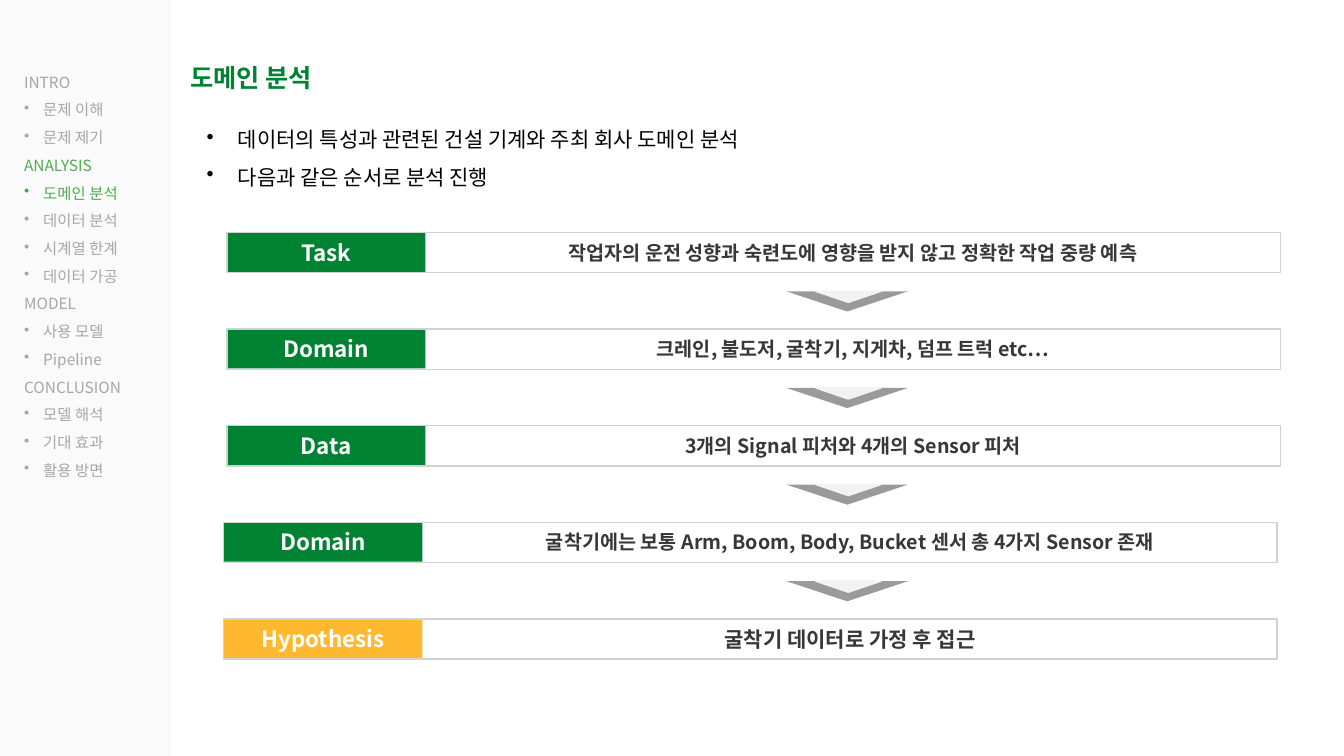
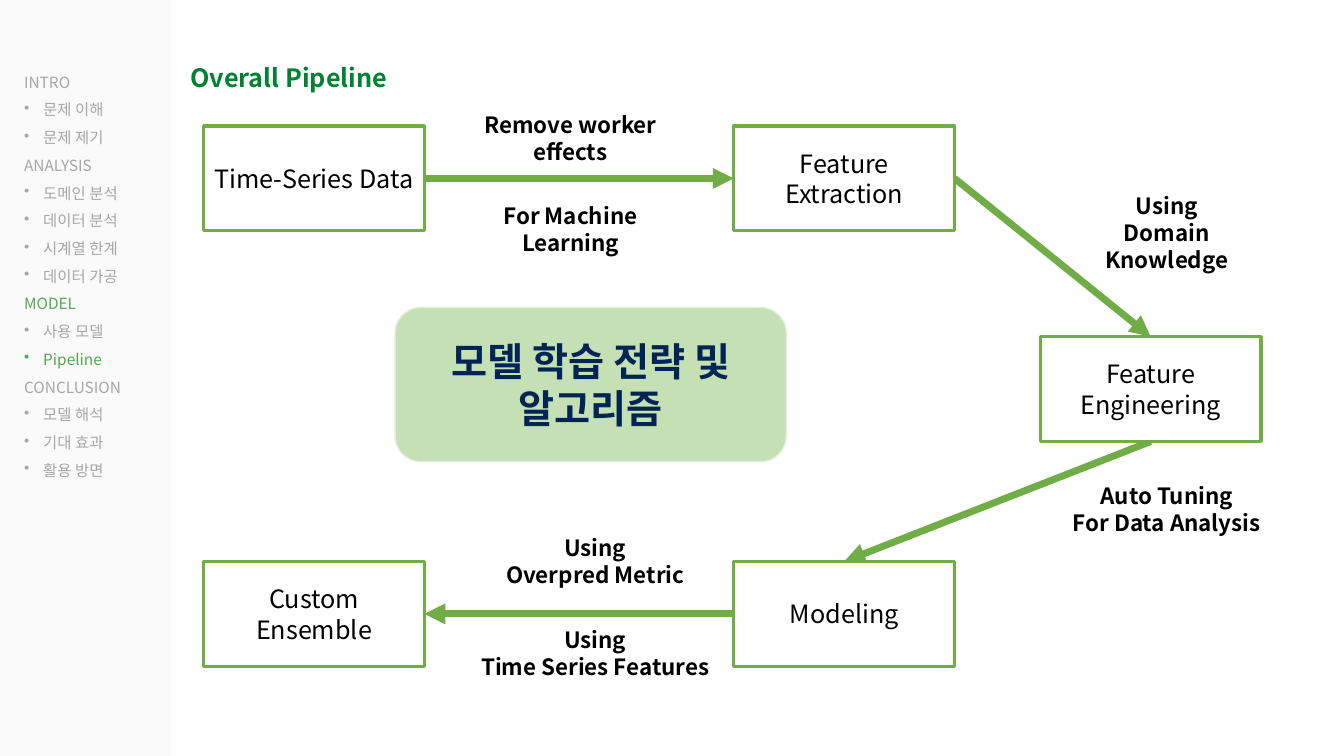
"""Build a domain analysis slide and a model pipeline slide with a shared side menu."""
from dataclasses import dataclass
from typing import NamedTuple

from lxml import etree
from pptx import Presentation
from pptx.dml.color import RGBColor
from pptx.enum.shapes import MSO_CONNECTOR, MSO_SHAPE
from pptx.enum.text import MSO_ANCHOR, MSO_AUTO_SIZE, PP_ALIGN
from pptx.oxml.ns import qn
from pptx.util import Inches, Pt

RECT, ROUND, PEAK = MSO_SHAPE.RECTANGLE, MSO_SHAPE.ROUNDED_RECTANGLE, MSO_SHAPE.ISOSCELES_TRIANGLE
STRAIGHT = MSO_CONNECTOR.STRAIGHT
TOP, MIDDLE = MSO_ANCHOR.TOP, MSO_ANCHOR.MIDDLE
LEFT, CENTER = PP_ALIGN.LEFT, PP_ALIGN.CENTER
GROW = MSO_AUTO_SIZE.SHAPE_TO_FIT_TEXT

WIDE, HIGH = Inches(13.33), Inches(7.5)
FONT = "Noto Sans CJK KR"
COLORS = {
    "white": "FFFFFF", "black": "000000", "side": "FAFAFA", "green": "008233",
    "gold": "FEB930", "dark": "373737", "frame": "D1D1D1", "arrow": "9A9A9A",
    "pale": "F2F2F2", "menu": "A6A6A6", "lit": "51AA4F", "flow": "70AD47",
    "mint": "C5E0B4", "rim": "E2F0D9", "navy": "002554",
}
MENU = {
    "INTRO": ["문제 이해", "문제 제기"],
    "ANALYSIS": ["도메인 분석", "데이터 분석", "시계열 한계", "데이터 가공"],
    "MODEL": ["사용 모델", "Pipeline"],
    "CONCLUSION": ["모델 해석", "기대 효과", "활용 방면"],
}


class Box(NamedTuple):
    """Left, top, width and height as percent of the slide."""
    left: float
    top: float
    width: float
    height: float

    def place(self) -> tuple[int, ...]:
        """Give the box in slide units."""
        sides = (WIDE, HIGH, WIDE, HIGH)
        return tuple(round(side * part / 100) for side, part in zip(sides, self))


@dataclass
class Step:
    """One labelled row of the analysis."""
    label: str
    text: str
    color: str = "green"
    size: int = 14
    left: float = 16.88


@dataclass
class Node:
    """One pipeline stage, placed by grid column and row."""
    text: str
    col: int
    row: int


class Link(NamedTuple):
    """An arrow from a side of one node to a side of the next."""
    start: int
    out: int
    end: int
    into: int


class Note(NamedTuple):
    """A caption beside an arrow."""
    box: Box
    lines: list[str]


STEPS = [
    Step("Task", "작업자의 운전 성향과 숙련도에 영향을 받지 않고 정확한 작업 중량 예측"),
    Step("Domain", "크레인, 불도저, 굴착기, 지게차, 덤프 트럭 etc…"),
    Step("Data", "3개의 Signal 피처와 4개의 Sensor 피처"),
    Step("Domain", "굴착기에는 보통 Arm, Boom, Body, Bucket 센서 총 4가지 Sensor 존재", left=16.65),
    Step("Hypothesis", "굴착기 데이터로 가정 후 접근", "gold", 15, 16.65),
]
FIRST, PITCH = 30.75, 12.78
COLS, ROWS = (15.15, 54.6, 77.4), (16.67, 44.53, 74.27)
NODES = [
    Node("Time-Series Data", 0, 0), Node("Feature Extraction", 1, 0),
    Node("Feature Engineering", 2, 1), Node("Modeling", 1, 2),
    Node("Custom Ensemble", 0, 2),
]
LINKS = [Link(0, 3, 1, 1), Link(1, 3, 2, 0), Link(2, 2, 3, 0), Link(3, 1, 4, 3)]
NOTES = [
    Note(Box(33.75, 14, 17.4, 4.93), ["Remove worker effects"]),
    Note(Box(33.75, 26.13, 17.4, 4.93), ["For Machine Learning"]),
    Note(Box(78.6, 24.8, 16.43, 8.53), ["Using", "Domain Knowledge"]),
    Note(Box(78.6, 63.07, 16.43, 8.53), ["Auto Tuning", "For Data Analysis"]),
    Note(Box(36.08, 70, 16.43, 8.53), ["Using", "Overpred Metric"]),
    Note(Box(35.03, 82.13, 18.53, 8.53), ["Using", "Time Series Features"]),
]


def paint(name: str) -> RGBColor:
    """Look up a colour by name."""
    return RGBColor.from_string(COLORS[name])


def write(shape, lines: list[str], *, size: int, color: str = "black", bold: bool = False,
          align=CENTER, anchor=MIDDLE, space: float = 1, dent: float = 0,
          heads: tuple = (), lit: tuple = ()) -> None:
    """Fill a shape with paragraphs, with bullets on all but heads when dented."""
    frame = shape.text_frame
    frame.word_wrap, frame.vertical_anchor = True, anchor
    for spot, line in enumerate(lines):
        para = frame.add_paragraph() if spot else frame.paragraphs[0]
        para.alignment, para.line_spacing = align, space
        if dent and line not in heads:
            props = para._p.get_or_add_pPr()
            props.set("marL", str(Inches(dent)))
            props.set("indent", str(-Inches(dent)))
            etree.SubElement(props, qn("a:buChar")).set("char", "•")
        run = para.add_run()
        run.text = line
        font = run.font
        font.size, font.bold, font.name = Pt(size), bold, FONT
        font.color.rgb = paint("lit" if line in lit else color)
        etree.SubElement(run._r.get_or_add_rPr(), qn("a:ea")).set("typeface", FONT)


def label(slide, box: Box, lines: list[str], **style) -> None:
    """Add a text box that grows with its text."""
    shape = slide.shapes.add_textbox(*box.place())
    write(shape, lines, anchor=TOP, **style)
    shape.text_frame.auto_size = GROW


def draw(slide, kind, box: Box, fill: str = "", line: str = "", width: float = 1):
    """Add a preset shape with optional fill and outline."""
    shape = slide.shapes.add_shape(kind, *box.place())
    shape.shadow.inherit = False
    if fill:
        shape.fill.solid()
        shape.fill.fore_color.rgb = paint(fill)
    else:
        shape.fill.background()
    if line:
        shape.line.color.rgb, shape.line.width = paint(line), Pt(width)
    else:
        shape.line.fill.background()
    return shape


def join(slide, start, out: int, end, into: int) -> None:
    """Draw an arrow behind the two shapes that it joins."""
    wire = slide.shapes.add_connector(STRAIGHT, 0, 0, 0, 0)
    wire.begin_connect(start, out)
    wire.end_connect(end, into)
    wire.line.color.rgb, wire.line.width = paint("flow"), Pt(5)
    props = wire.element.spPr
    etree.SubElement(props.find(qn("a:ln")), qn("a:tailEnd")).set("type", "triangle")
    etree.SubElement(props, qn("a:effectLst"))
    wire.element.getparent().insert(2, wire.element)


def begin(deck, title: str, lit: tuple):
    """Add a blank slide with its side menu and title."""
    slide = deck.slides.add_slide(deck.slide_layouts[6])
    draw(slide, RECT, Box(0, 0, 12.68, 100), "side", "side")
    label(slide, Box(13.43, 5.6, 50, 6.67), [title], size=18, color="green",
          bold=True, align=LEFT, space=1.5)
    lines = [line for head, items in MENU.items() for line in (head, *items)]
    label(slide, Box(1.05, 7.73, 12.98, 60.13), lines, size=11, color="menu",
          align=LEFT, space=1.5, dent=0.19, heads=tuple(MENU), lit=lit)
    return slide


def domain(deck) -> None:
    """Build the domain analysis slide."""
    slide = begin(deck, "도메인 분석", ("ANALYSIS", "도메인 분석"))
    goals = ["데이터의 특성과 관련된 건설 기계와 주최 회사 도메인 분석", "다음과 같은 순서로 분석 진행"]
    label(slide, Box(14.63, 14.4, 78.3, 10.8), goals, size=15, align=LEFT, space=1.5, dent=0.31)
    for spot, step in enumerate(STEPS):
        top = FIRST + spot * PITCH
        if spot:
            tip = top - 5
            draw(slide, PEAK, Box(58.5, tip, 9.07, 2.67), "arrow").rotation = 180
            draw(slide, PEAK, Box(60.68, tip, 4.88, 1.47), "pale", "pale").rotation = 180
        label(slide, Box(step.left + 14.85, top + 0.4, 63.5, 4.53), [step.text],
              size=step.size, color="dark", bold=True)
        tag = draw(slide, RECT, Box(step.left, top, 14.78, 5.2), step.color)
        write(tag, [step.label], size=16, color="white", bold=True)
        draw(slide, RECT, Box(step.left, top, 78.38, 5.33), line="frame")


def model(deck) -> None:
    """Build the pipeline slide."""
    slide = begin(deck, "Overall Pipeline", ("MODEL", "Pipeline"))
    badge = draw(slide, ROUND, Box(29.4, 40.67, 29.1, 20.4), "mint", "rim")
    write(badge, ["모델 학습 전략 및", "알고리즘"], size=28, color="navy", bold=True)
    boxes = []
    for node in NODES:
        box = Box(COLS[node.col], ROWS[node.row], 16.43, 13.87)
        boxes.append(draw(slide, RECT, box, "white", "flow", 2.25))
        write(boxes[-1], [node.text], size=18)
    for link in LINKS:
        join(slide, boxes[link.start], link.out, boxes[link.end], link.into)
    for note in NOTES:
        label(slide, note.box, note.lines, size=16, bold=True)


def main() -> None:
    """Build and save the deck."""
    deck = Presentation()
    deck.slide_width, deck.slide_height = WIDE, HIGH
    domain(deck)
    model(deck)
    deck.save("out.pptx")


if __name__ == "__main__":
    main()
